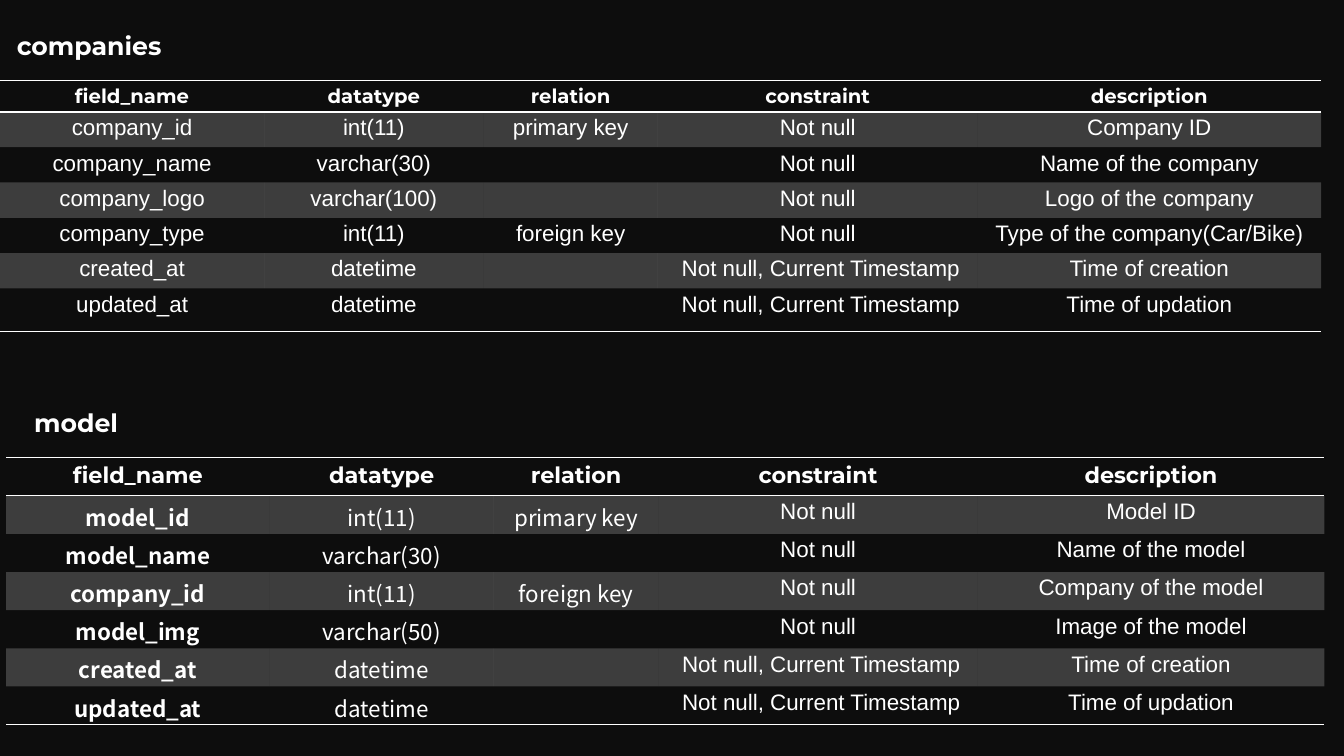
from dataclasses import dataclass

from lxml import etree
from pptx import Presentation, util as u
from pptx.dml.color import RGBColor
from pptx.enum import text
from pptx.oxml import ns


@dataclass(frozen=True)
class Theme:
    background: str = "0D0D0D"
    ink: str = "FFFFFF"
    band_alpha: int = 20
    display: str = "Montserrat"
    plain: str = "Arial"
    accent: str = "Noto Sans CJK SC"
    heading_size: int = 18
    body_size: int = 16
    small_size: int = 14
    rule_width: int = 1


THEME = Theme()
NO_STYLE = "{2D5ABB26-0587-4C30-8999-92F81FD0307C}"
COLUMNS = ("field_name", "datatype", "relation", "constraint", "description")
TIMESTAMP = " Not null, Current Timestamp"  # opens with a no-break space

COMPANY_FIELDS = [
    ("company_id", "int(11)", "primary key", "Not null", "Company ID"),
    ("company_name", "varchar(30)", "", "Not null", "Name of the company"),
    ("company_logo", "varchar(100)", "", "Not null", "Logo of the company"),
    ("company_type", "int(11)", "foreign key", "Not null", "Type of the company(Car/Bike)"),
    ("created_at", "datetime", "", TIMESTAMP, "Time of creation"),
    ("updated_at", "datetime", "", TIMESTAMP, "Time of updation"),
]
MODEL_FIELDS = [
    ("model_id", "int(11)", "primary key", "Not null", "Model ID"),
    ("model_name", "varchar(30)", "", "Not null", "Name of the model"),
    ("company_id", "int(11)", "foreign key", "Not null", "Company of the model"),
    ("model_img", "varchar(50)", "", "Not null", "Image of the model"),
    ("created_at", "datetime", "", TIMESTAMP, "Time of creation"),
    ("updated_at", "datetime", "", TIMESTAMP, "Time of updation"),
]

presentation = Presentation()
presentation.slide_width = u.Inches(13.33)
presentation.slide_height = u.Inches(7.5)


def across(percent):
    return int(presentation.slide_width * percent / 100)


def down(percent):
    return int(presentation.slide_height * percent / 100)


def write(frame, words, *, font, size, bold=False, align=text.PP_ALIGN.LEFT,
          line_spacing=1.0, space_after=0):
    paragraph = frame.paragraphs[0]
    paragraph.alignment = align
    paragraph.line_spacing = line_spacing
    paragraph.space_after = u.Pt(space_after)
    run = paragraph.add_run()
    run.text = words
    run.font.name = font
    run.font.size = u.Pt(size)
    run.font.bold = bold
    run.font.color.rgb = RGBColor.from_string(THEME.ink)


def add_rule(cell, side):
    """Draw one horizontal cell border; side is lnT or lnB."""
    line = etree.Element(ns.qn(f"a:{side}"), w=str(u.Pt(THEME.rule_width)))
    fill = etree.SubElement(line, ns.qn("a:solidFill"))
    etree.SubElement(fill, ns.qn("a:srgbClr"), val=THEME.ink)
    cell._tc.get_or_add_tcPr().insert(0, line)


def shade(cell, banded):
    if not banded:
        cell.fill.background()
        return
    cell.fill.solid()
    cell.fill.fore_color.rgb = RGBColor.from_string(THEME.ink)
    color = cell._tc.tcPr.find(".//" + ns.qn("a:srgbClr"))
    # The fill is the last colour in the cell, and shaded cells have no rules
    etree.SubElement(color, ns.qn("a:alpha"), val=str(THEME.band_alpha * 1000))


def add_heading(shape, words, left, top):
    shape.left, shape.top = left, top
    shape.width, shape.height = across(17), down(5.6)
    frame = shape.text_frame
    frame.word_wrap = True
    frame.auto_size = text.MSO_AUTO_SIZE.NONE
    frame.vertical_anchor = text.MSO_ANCHOR.MIDDLE
    write(frame, words, font=THEME.display, size=THEME.heading_size, bold=True)


def add_schema(slide, heading, name, fields, box, indent, columns, rows,
               header_size, fonts, bold_names):
    """Place a heading above a field table; box is in percent of the slide."""
    left, top, width, height = across(box[0]), down(box[1]), across(box[2]), down(box[3])
    add_heading(heading, name, left + across(indent), top - down(7.5))

    # Table grid
    table = slide.shapes.add_table(len(fields) + 1, len(COLUMNS),
                                   left, top, width, height).table
    properties = table._tbl.tblPr
    properties.find(ns.qn("a:tableStyleId")).text = NO_STYLE
    table.first_row = table.horz_banding = False
    for column, share in zip(table.columns, columns):
        column.width = int(width * share / sum(columns))
    for row, share in zip(table.rows, rows):
        row.height = int(height * share / sum(rows))

    # Cells
    for r, record in enumerate([COLUMNS, *fields]):
        for c, words in enumerate(record):
            cell = table.cell(r, c)
            cell.margin_left = cell.margin_right = u.Inches(0.07)
            cell.margin_top = cell.margin_bottom = 0
            if r in (0, len(fields)):
                add_rule(cell, "lnB")
            if r == 0:
                add_rule(cell, "lnT")
            shade(cell, banded=r % 2 == 1)
            if words:
                write(cell.text_frame, words,
                      font=fonts[c] if r else THEME.display,
                      size=THEME.body_size if r else header_size,
                      bold=r == 0 or (bold_names and c == 0),
                      align=text.PP_ALIGN.CENTER, line_spacing=1.15, space_after=10)


def build_schema_slide():
    slide = presentation.slides.add_slide(presentation.slide_layouts[5])
    slide.background.fill.solid()
    slide.background.fill.fore_color.rgb = RGBColor.from_string(THEME.background)

    # Companies, upper half
    add_schema(slide, slide.shapes.title, "companies", COMPANY_FIELDS,
               box=(0, 10.67, 98.3, 33.2), indent=0.5,
               columns=(20, 16.6, 13.2, 24.2, 26), rows=(31, 35, 35, 35, 35, 35, 43),
               header_size=THEME.small_size, fonts=[THEME.plain] * 5, bold_names=False)

    # Model, lower half
    add_schema(slide, slide.shapes.add_textbox(0, 0, 0, 0), "model", MODEL_FIELDS,
               box=(0.45, 60.53, 98.1, 35.33), indent=1.35,
               columns=(20, 17, 12.5, 24.2, 26.3), rows=[1] * 7,
               header_size=THEME.body_size,
               fonts=[THEME.accent] * 3 + [THEME.plain] * 2, bold_names=True)


if __name__ == "__main__":
    build_schema_slide()
    presentation.save("out.pptx")
